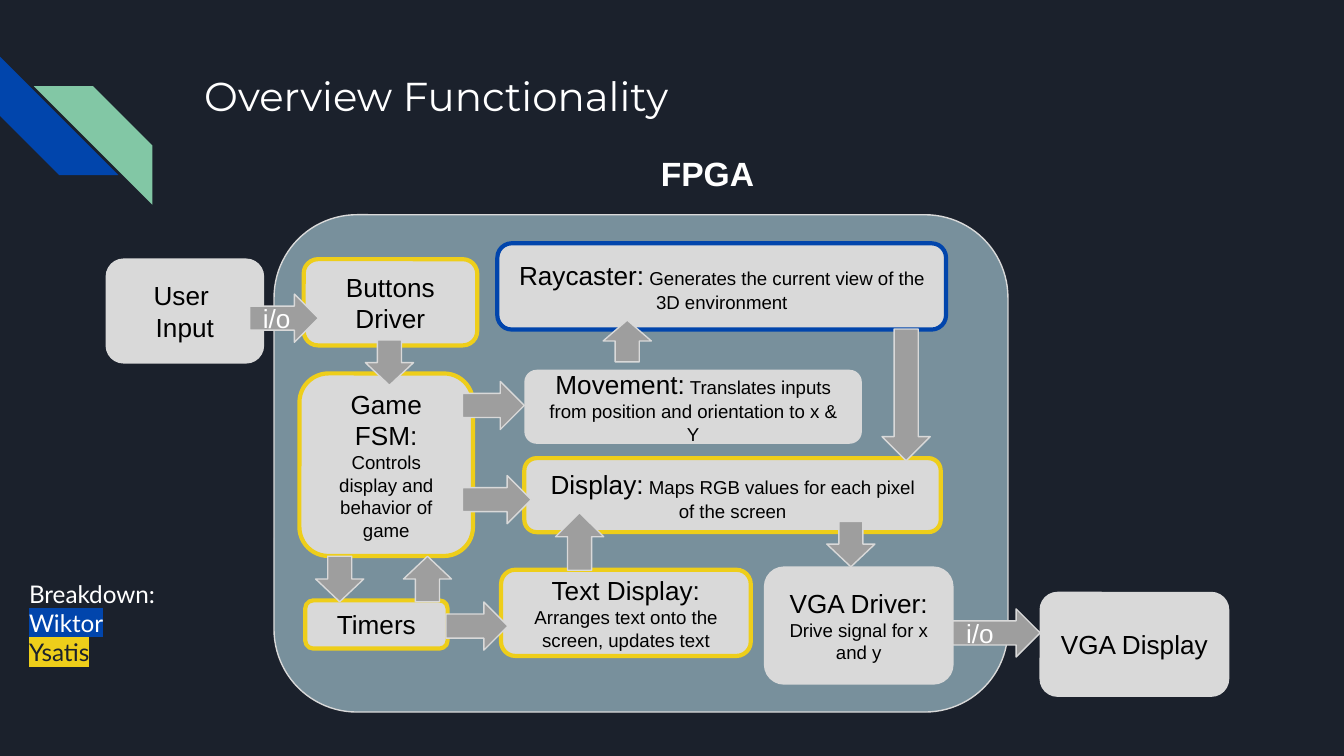
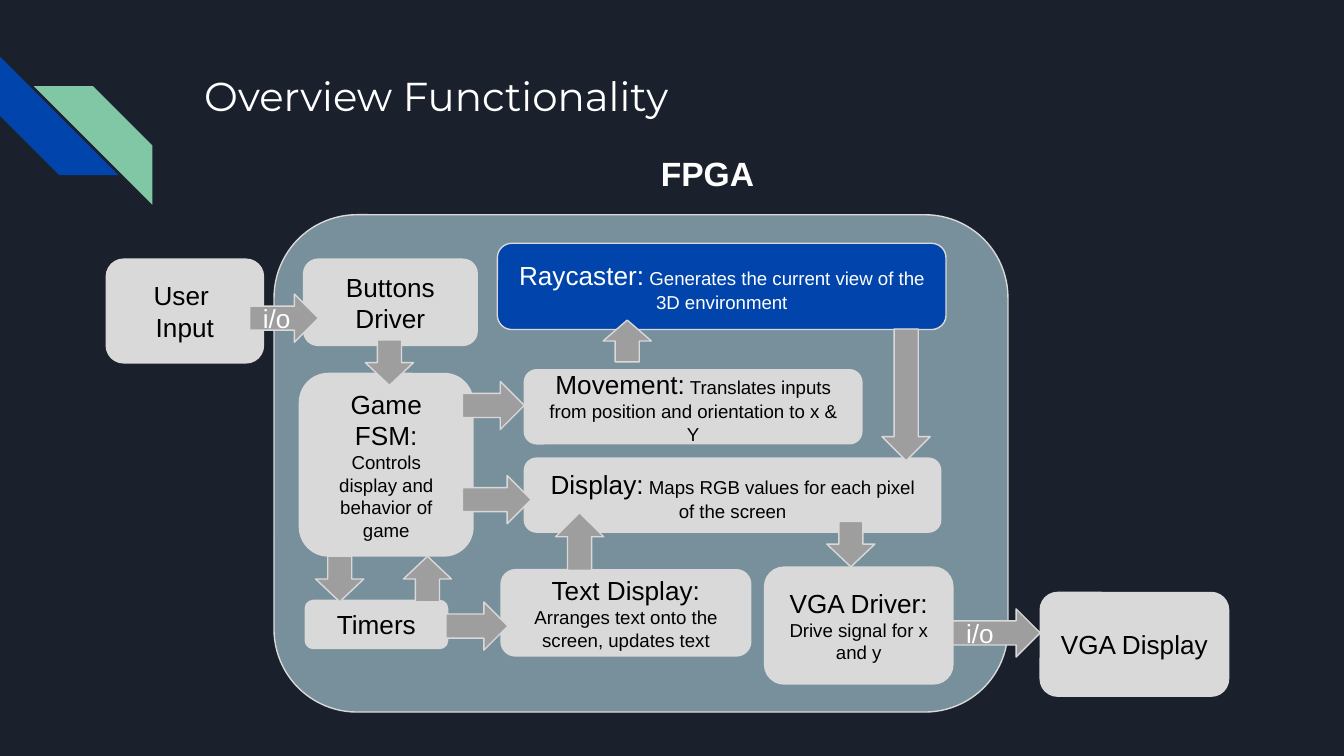
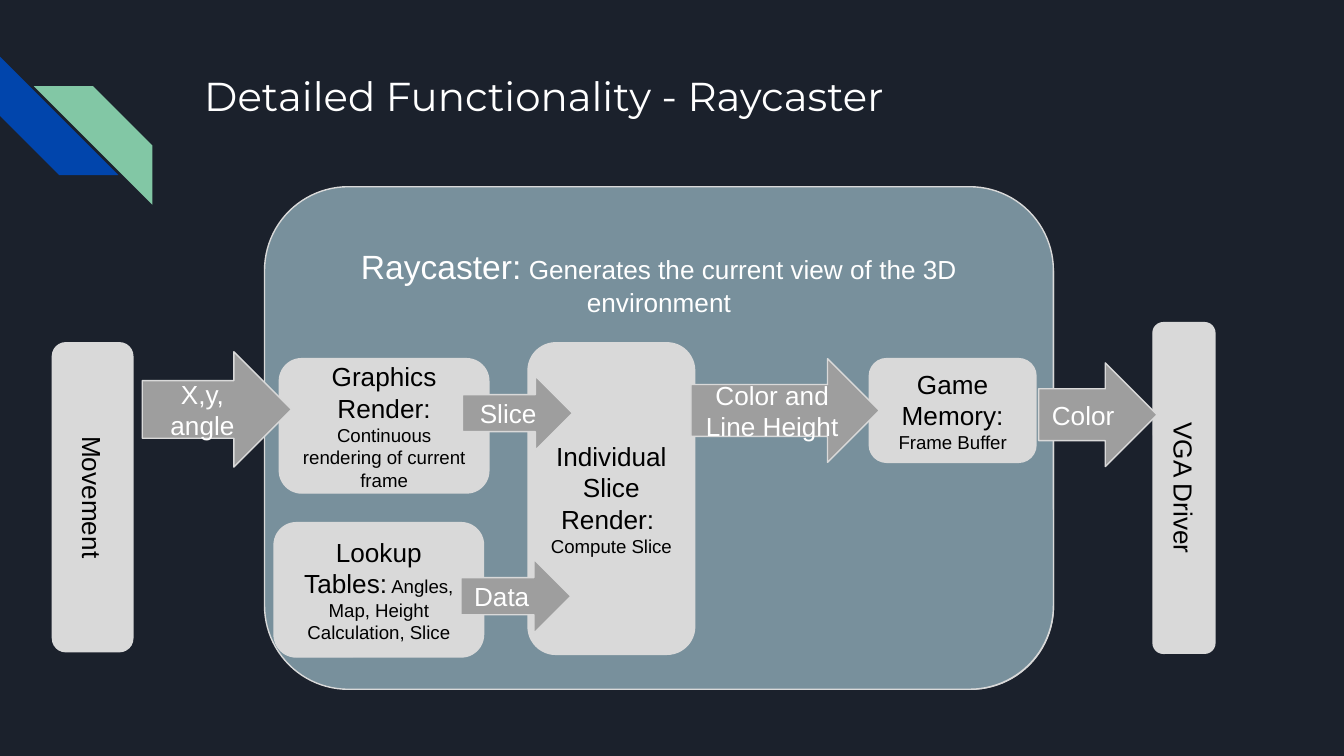
"""Build three slides on the modules of an FPGA raycaster game."""
from lxml.etree import SubElement
from pptx import Presentation
from pptx.dml.color import RGBColor
from pptx.enum.shapes import MSO_SHAPE as Preset
from pptx.enum.text import MSO_ANCHOR as Anchor, MSO_AUTO_SIZE as AutoSize, PP_ALIGN as Align
from pptx.oxml.ns import qn
from pptx.util import Cm, Pt

NAVY, BLUE, GREEN, YELLOW = "1B212C", "0145AC", "82C7A5", "EECE1A"
SLATE, SILVER, GRAY, WHITE, BLACK = "78909C", "D9D9D9", "9E9E9E", "FFFFFF", "000000"
rgb = RGBColor.from_string


def write(para, text, size=14, font="Arial", color=BLACK, bold=False, align=Align.LEFT, mark=None):
    """Append one formatted span to a paragraph."""
    para.alignment = align
    span = para.add_run()
    span.text = text
    span.font.size, span.font.name, span.font.bold = Pt(size), font, bold
    span.font.color.rgb = rgb(color)
    if mark:
        props = span.font.fill._xPr
        highlight = SubElement(props, qn("a:highlight"))
        SubElement(highlight, qn("a:srgbClr")).set("val", mark)
        props.find(qn("a:solidFill")).addnext(highlight)


def draw(page, preset, place, text="", fill=SILVER, line=SILVER, weight=0.75, color=BLACK,
         sizes=(14, 10), align=Align.CENTER, turn=0):
    """Add a shape; in its text a newline splits paragraphs and a bar starts the smaller size."""
    shape = page.shapes.add_shape(preset, *map(Cm, place))
    shape.shadow.inherit = False
    shape.rotation = turn
    shape.fill.solid()
    shape.fill.fore_color.rgb = rgb(fill)
    if line:
        shape.line.color.rgb = rgb(line)
        shape.line.width = Pt(weight)
    else:
        shape.line.fill.background()
    frame = shape.text_frame
    frame.word_wrap = True
    frame.vertical_anchor = Anchor.MIDDLE
    frame.margin_left = frame.margin_right = frame.margin_top = frame.margin_bottom = Cm(0.25)
    for index, row in enumerate(text.split("\n") if text else []):
        para = frame.add_paragraph() if index else frame.paragraphs[0]
        for part, size in zip(row.split("|"), sizes):
            if part:
                write(para, part, size=size, color=color, align=align)
    return shape


deck = Presentation()
deck.slide_width, deck.slide_height = Cm(25.4), Cm(14.29)
background = deck.slide_master.background.fill
background.solid()
background.fore_color.rgb = rgb(NAVY)

layout = deck.slide_layouts[5]
pages = []
for heading in ["Overview Functionality", "Overview Functionality", "Detailed Functionality - Raycaster"]:
    page = deck.slides.add_slide(layout)
    title = page.shapes.title
    title.left, title.top, title.width, title.height = Cm(3.61), Cm(1.09), Cm(19.56), Cm(2.54)
    frame = title.text_frame
    frame.auto_size, frame.vertical_anchor, frame.word_wrap = AutoSize.NONE, Anchor.TOP, True
    frame.margin_left = frame.margin_top = Cm(0.25)
    write(frame.paragraphs[0], heading, size=21.6, font="Montserrat", color=WHITE)
    pages.append(page)
owners_page, focus_page, detail_page = pages

for left, top, color, turn in [(0, 1.07, BLUE, 270), (0.64, 1.63, GREEN, 90)]:
    stripe = draw(owners_page, Preset.DIAGONAL_STRIPE, (left, top, 2.24, 2.24), fill=color, line=None, turn=turn)
    layout.shapes.element.append(stripe.element)

modules = [
    ("VGA Driver: |Drive signal for x and y", (14.45, 10.72, 3.56, 2.21), SILVER),
    ("Buttons\nDriver", (5.74, 4.9, 3.28, 1.63), YELLOW),
    ("Display:| Maps RGB values for each pixel of the screen", (9.91, 8.66, 7.87, 1.4), YELLOW),
    ("User \nInput", (2.01, 4.9, 2.97, 1.96), SILVER),
    ("VGA Display", (19.66, 11.2, 3.56, 1.96), SILVER),
    ("Text Display:| Arranges text onto the screen, updates text", (9.47, 10.77, 4.72, 1.63), YELLOW),
    ("Movement:| Translates inputs from position and orientation to x & Y", (9.91, 6.99, 6.38, 1.4), None),
    ("Game FSM:| Controls display and behavior of game", (5.66, 7.06, 3.28, 3.45), YELLOW),
    ("Raycaster:| Generates the current view of the 3D environment", (9.4, 4.6, 8.48, 1.63), BLUE),
    ("Timers", (5.77, 11.35, 2.69, 0.91), YELLOW),
]
signals = [
    ("i/o", 4.72, 5.56, 1.3, 0), ("i/o", 18.01, 11.51, 1.65, 0),
    ("", 6.93, 6.4, 0.86, 90), ("", 5.99, 10.49, 0.86, 90), ("", 15.88, 7.01, 2.49, 90),
    ("", 8.43, 11.38, 1.17, 0), ("", 7.65, 10.49, 0.86, 270), ("", 8.74, 7.21, 1.17, 0),
    ("", 15.65, 9.83, 0.86, 90), ("", 11.46, 5.99, 0.79, 270), ("", 8.74, 8.99, 1.3, 0),
    ("", 10.41, 9.78, 1.09, 270),
]
for page in (owners_page, focus_page):
    draw(page, Preset.ROUNDED_RECTANGLE, (5.18, 4.06, 13.87, 9.4), fill=SLATE)
    label = page.shapes.add_textbox(Cm(12.24), Cm(2.64), Cm(2.69), Cm(1.22)).text_frame
    label.word_wrap = True
    label.margin_top = Cm(0.25)
    write(label.paragraphs[0], "FPGA", size=18, color=WHITE, bold=True)
    for text, place, owner in modules:
        if page is owners_page:
            style = {"line": owner, "weight": 2.25 if owner in (YELLOW, BLUE) else 0.75}
        else:
            style = {"fill": BLUE, "color": WHITE} if owner == BLUE else {}
        draw(page, Preset.ROUNDED_RECTANGLE, place, text, **style)
    for text, left, top, length, turn in signals:
        draw(page, Preset.RIGHT_ARROW, (left, top, length, 0.91), text, fill=GRAY, color=WHITE,
             align=Align.LEFT, turn=turn)

legend = owners_page.shapes.add_textbox(Cm(0.3), Cm(10.69), Cm(3.96), Cm(3.05)).text_frame
legend.word_wrap = True
legend.margin_top = Cm(0.25)
entries = [("Breakdown:", WHITE, None), ("Wiktor", WHITE, BLUE), ("Ysatis", NAVY, YELLOW)]
for index, (text, color, mark) in enumerate(entries):
    para = legend.add_paragraph() if index else legend.paragraphs[0]
    write(para, text, size=13, font="Lato", color=color, mark=mark)

draw(detail_page, Preset.ROUNDED_RECTANGLE, (5.18, 3.63, 14.73, 9.4), fill=SLATE)
panel = draw(detail_page, Preset.ROUNDED_RECTANGLE, (5, 3.53, 14.91, 9.5),
             "Raycaster:| Generates the current view of the 3D environment",
             fill=SLATE, color=WHITE, sizes=(18, 14))
panel.text_frame.vertical_anchor = Anchor.TOP
panel.text_frame.margin_top = Cm(0.65)

stages = [
    ("VGA Driver", (19.25, 8.64, 6.25, 1.17), 90),
    ("Game Memory: |Frame Buffer", (16.43, 6.78, 3.15, 1.96), 0),
    ("Individual Slice Render: \n|Compute Slice", (9.98, 6.48, 3.15, 5.89), 0),
    ("Lookup Tables:| Angles, Map, Height Calculation, Slice", (5.18, 9.88, 3.96, 2.54), 0),
    ("Graphics Render:| Continuous rendering of current frame", (5.28, 6.78, 3.96, 2.54), 0),
    ("Movement", (-1.17, 8.64, 5.84, 1.52), 90),
]
for text, place, turn in stages:
    draw(detail_page, Preset.ROUNDED_RECTANGLE, place, text, turn=turn)

flows = [
    ("Color and\nLine Height", (13.06, 6.78, 3.56, 1.96), Align.CENTER),
    ("Color", (19.63, 6.86, 2.24, 1.96), Align.LEFT),
    ("Data", (8.71, 10.57, 2.08, 1.4), Align.LEFT),
    ("Slice", (8.74, 7.11, 2.08, 1.4), Align.CENTER),
    ("X,y, angle", (2.69, 6.65, 2.82, 2.18), Align.CENTER),
]
for text, place, align in flows:
    draw(detail_page, Preset.RIGHT_ARROW, place, text, fill=GRAY, color=WHITE, align=align)

deck.save("out.pptx")
